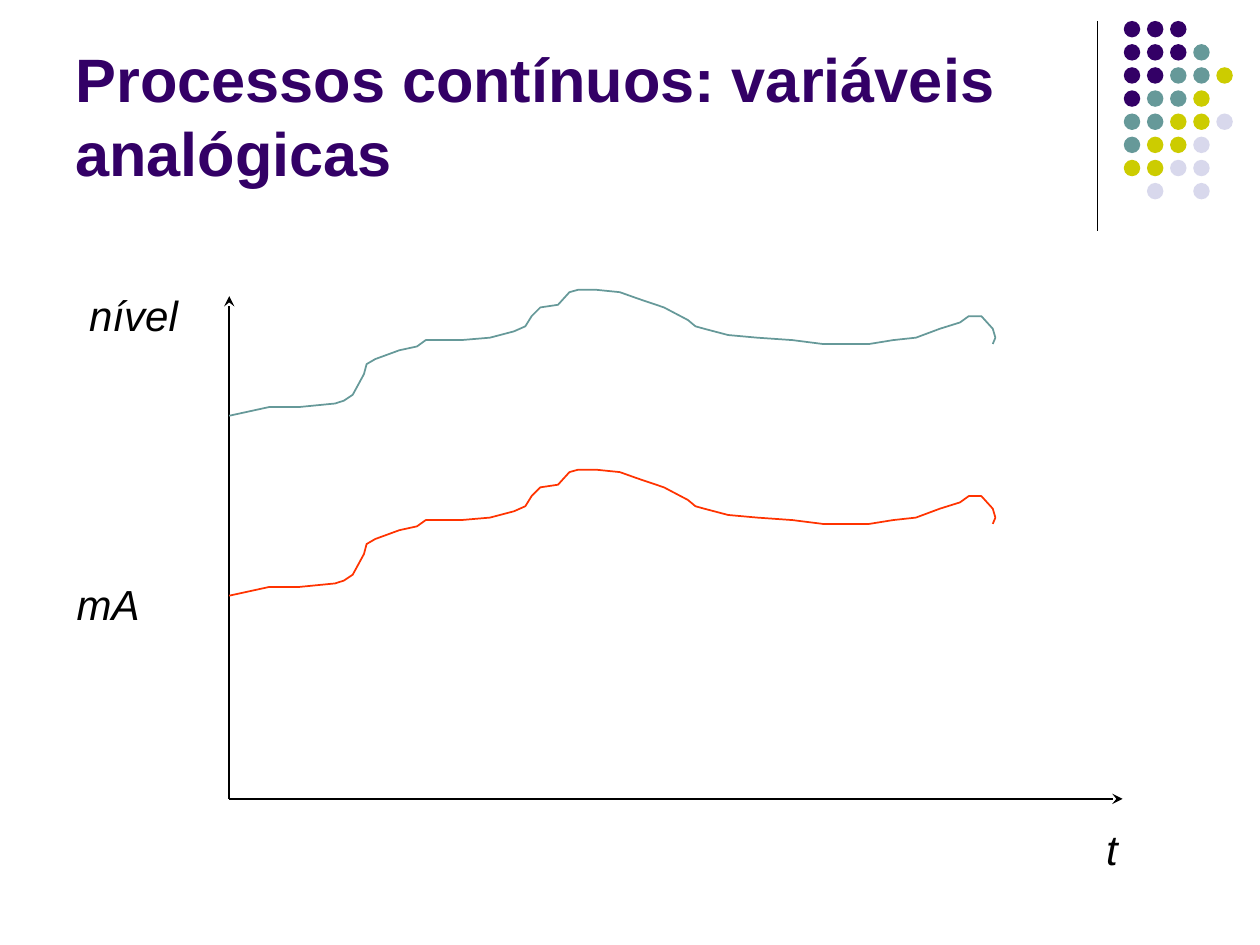
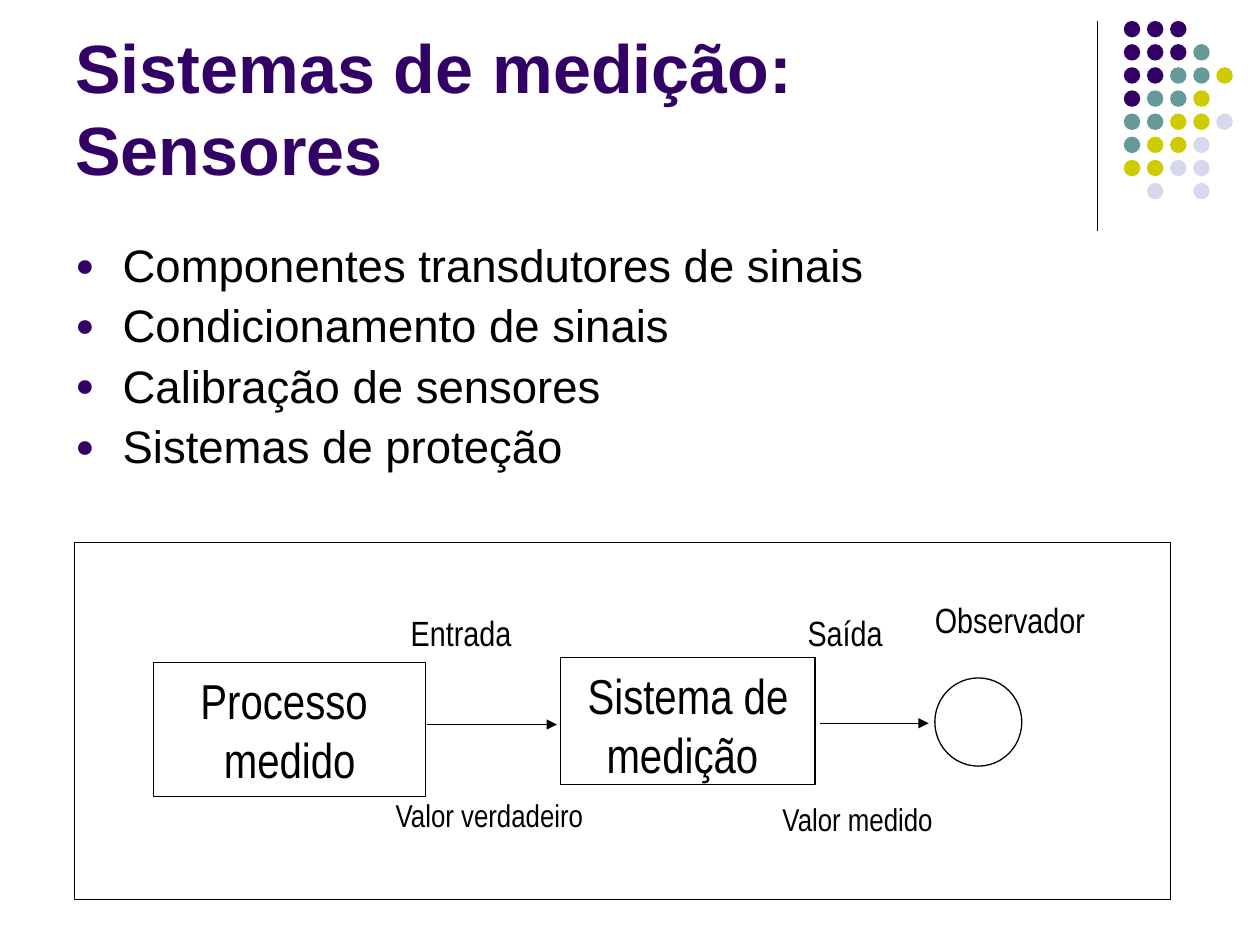
import lxml.etree
import pptx
import pptx.dml.color
import pptx.enum.shapes
import pptx.enum.text
import pptx.oxml.ns
import pptx.util

Pt = pptx.util.Pt
RGB = pptx.dml.color.RGBColor.from_string
qn = pptx.oxml.ns.qn
SHAPES = pptx.enum.shapes.MSO_SHAPE
ALIGN = pptx.enum.text.PP_ALIGN
ANCHOR = pptx.enum.text.MSO_ANCHOR

COLORS = {
    "purple": "330066",
    "teal": "669999",
    "olive": "CCCC00",
    "lavender": "D8D8EC",
    "red": "FF3300",
    "black": "000000",
}
DOT_COLORS = {"P": "purple", "T": "teal", "O": "olive", "L": "lavender"}
DOT_ROWS = ["PPP", "PPPT", "PPTTO", "PTTO", "TTOOL", "TOOL", "OOLL", " L L"]
DOT_LEFT, DOT_TOP, DOT_SIZE, DOT_PITCH = 642.2, 12, 9.4, 13.22


def write_text(shape, text, size=24, font="Arial", color="black", bold=False, italic=False,
               align=ALIGN.LEFT, anchor=ANCHOR.TOP, margins=(7.2, 3.6), bullet=None,
               line_spacing=None, space_before=0):
    """Fill a shape with one paragraph per line of text."""
    frame = shape.text_frame
    frame.word_wrap = True
    frame.vertical_anchor = anchor
    frame.margin_left = frame.margin_right = Pt(margins[0])
    frame.margin_top = frame.margin_bottom = Pt(margins[1])
    for index, line in enumerate(text.split("\n")):
        paragraph = frame.add_paragraph() if index else frame.paragraphs[0]
        paragraph.alignment = align
        paragraph.line_spacing = line_spacing
        paragraph.space_before = Pt(space_before if index else 0)
        if bullet:
            properties = paragraph._p.get_or_add_pPr()
            properties.set("marL", str(Pt(27)))
            properties.set("indent", str(Pt(-27)))
            bullet_color = lxml.etree.SubElement(properties, qn("a:buClr"))
            lxml.etree.SubElement(bullet_color, qn("a:srgbClr"), val=COLORS["purple"])
            lxml.etree.SubElement(properties, qn("a:buSzPct"), val="70000")
            lxml.etree.SubElement(properties, qn("a:buFont"), typeface="Arial")
            lxml.etree.SubElement(properties, qn("a:buChar"), char=bullet)
        run = paragraph.add_run()
        run.text = line
        run.font.name = font
        run.font.size = Pt(size)
        run.font.bold = bold
        run.font.italic = italic
        run.font.color.rgb = RGB(COLORS[color])


def add_line(slide, start, end, width=0.75, arrowhead=None):
    connector = slide.shapes.add_connector(
        pptx.enum.shapes.MSO_CONNECTOR.STRAIGHT, *map(Pt, (*start, *end)))
    connector.line.color.rgb = RGB(COLORS["black"])
    connector.line.width = Pt(width)
    if arrowhead:
        lxml.etree.SubElement(connector.line._get_or_add_ln(), qn("a:tailEnd"), type=arrowhead)
    lxml.etree.SubElement(connector._element.spPr, qn("a:effectLst"))


presentation = pptx.Presentation()
presentation.slide_width = Pt(720)
presentation.slide_height = Pt(540)

# Title, rule and dot pattern on both slides
slides = []
for title, title_size in [("Processos contínuos: variáveis analógicas", 35),
                          ("Sistemas de medição: Sensores", 39)]:
    slide = presentation.slides.add_slide(presentation.slide_layouts[6])
    slides.append(slide)
    add_line(slide, (627, 12), (627, 132))
    for row, pattern in enumerate(DOT_ROWS):
        for column, letter in enumerate(pattern):
            if letter == " ":
                continue
            dot = slide.shapes.add_shape(
                SHAPES.OVAL, Pt(DOT_LEFT + column * DOT_PITCH), Pt(DOT_TOP + row * DOT_PITCH),
                Pt(DOT_SIZE), Pt(DOT_SIZE))
            dot.shadow.inherit = False
            dot.fill.solid()
            dot.fill.fore_color.rgb = RGB(COLORS[DOT_COLORS[letter]])
            dot.line.fill.background()
    title_box = slide.shapes.add_textbox(Pt(36), Pt(9.4), Pt(594), Pt(102))
    write_text(title_box, title, size=title_size, color="purple", bold=True,
               anchor=ANCHOR.BOTTOM)

process_slide, sensor_slide = slides

# Slide 1: the level and the current follow the same curve
ORIGIN = (131, 456.5)
add_line(process_slide, ORIGIN, (131, 169.2), width=1, arrowhead="stealth")
add_line(process_slide, ORIGIN, (641.5, 456.5), width=1, arrowhead="stealth")

# Distance right of the axis and height above the first point
CURVE = [
    (0, 0), (23, 5), (40.3, 5), (60.5, 7), (65.5, 8.6), (70.6, 12), (73.5, 17.3),
    (77, 23.8), (78.5, 29.5), (83.5, 32.4), (97.2, 37.4), (107.3, 39.6), (112.3, 43.2),
    (132.5, 43.2), (149, 44.6), (162.7, 48.2), (169.2, 51.1), (172.8, 56.9),
    (177.8, 61.9), (187.9, 63.4), (194.4, 70.6), (199.4, 72), (209.5, 72), (223.2, 70.6),
    (233.3, 67), (248.4, 61.9), (262.1, 54.7), (266.4, 51.1), (271.4, 49.7),
    (285.1, 46.1), (301.7, 44.6), (321.8, 43.2), (339.1, 41), (365.8, 41), (379.4, 43.2),
    (392.4, 44.6), (406.1, 49.7), (417.6, 53.3), (422.6, 56.9), (429.8, 56.9),
    (436.3, 49.7), (437.8, 44.6), (436.3, 41),
]
for curve_start, curve_color in [(237.6, "teal"), (340.4, "red")]:
    points = [(Pt(ORIGIN[0] + x), Pt(curve_start - height)) for x, height in CURVE]
    builder = process_slide.shapes.build_freeform(*points[0])
    builder.add_line_segments(points[1:], close=False)
    curve = builder.convert_to_shape()
    curve.shadow.inherit = False
    curve.fill.background()
    curve.line.color.rgb = RGB(COLORS[curve_color])
    curve.line.width = Pt(1)

for label, left, top, width in [("nível", 43.9, 162, 147.6), ("mA", 36.7, 326.9, 80.6),
                                ("t", 625, 467.3, 46.8)]:
    label_box = process_slide.shapes.add_textbox(Pt(left), Pt(top), Pt(width), Pt(36))
    write_text(label_box, label, italic=True)

# Slide 2: bullets above the measurement diagram
TOPICS = """Componentes transdutores de sinais
Condicionamento de sinais
Calibração de sensores
Sistemas de proteção"""
topics_box = sensor_slide.shapes.add_textbox(Pt(36), Pt(135.4), Pt(648), Pt(151))
write_text(topics_box, TOPICS, size=26, bullet="●", line_spacing=0.9, space_before=6.5)

DIAGRAM_TEXT = {"font": "Arial Narrow", "margins": (4.3, 4.3)}
for kind, text, left, top, width, height, line_width in [
        (SHAPES.RECTANGLE, "Sistema de medição ", 320.4, 375.8, 145.4, 72.7, 0.75),
        (SHAPES.RECTANGLE, "Processo \nmedido", 87.8, 378.7, 155.5, 76.3, 0.75),
        (SHAPES.OVAL, None, 534.2, 387.4, 49.7, 50.4, 0.75),
        (SHAPES.RECTANGLE, None, 42.5, 309.6, 626.4, 204.5, 0.25)]:
    shape = sensor_slide.shapes.add_shape(kind, Pt(left), Pt(top), Pt(width), Pt(height))
    shape.shadow.inherit = False
    shape.fill.background()
    shape.line.color.rgb = RGB(COLORS["black"])
    shape.line.width = Pt(line_width)
    if text:
        write_text(shape, text, size=28, align=ALIGN.CENTER, **DIAGRAM_TEXT)

# The arrows stop just short of the outlines
add_line(sensor_slide, (244.1, 414), (318.3, 414), arrowhead="triangle")
add_line(sensor_slide, (468.7, 413.3), (530.7, 413.3), arrowhead="triangle")

for label, left, top, width, size in [
        ("Entrada", 230.4, 344.9, 90.7, 20),
        ("Saída", 457.2, 344.9, 91.4, 20),
        ("Observador", 529.9, 337.7, 107.3, 20),
        ("Valor verdadeiro", 221.8, 450.7, 144, 18),
        ("Valor medido", 442.8, 452.9, 133.2, 18)]:
    label_box = sensor_slide.shapes.add_textbox(Pt(left), Pt(top), Pt(width), Pt(45))
    write_text(label_box, label, size=size, **DIAGRAM_TEXT)

presentation.save("out.pptx")
